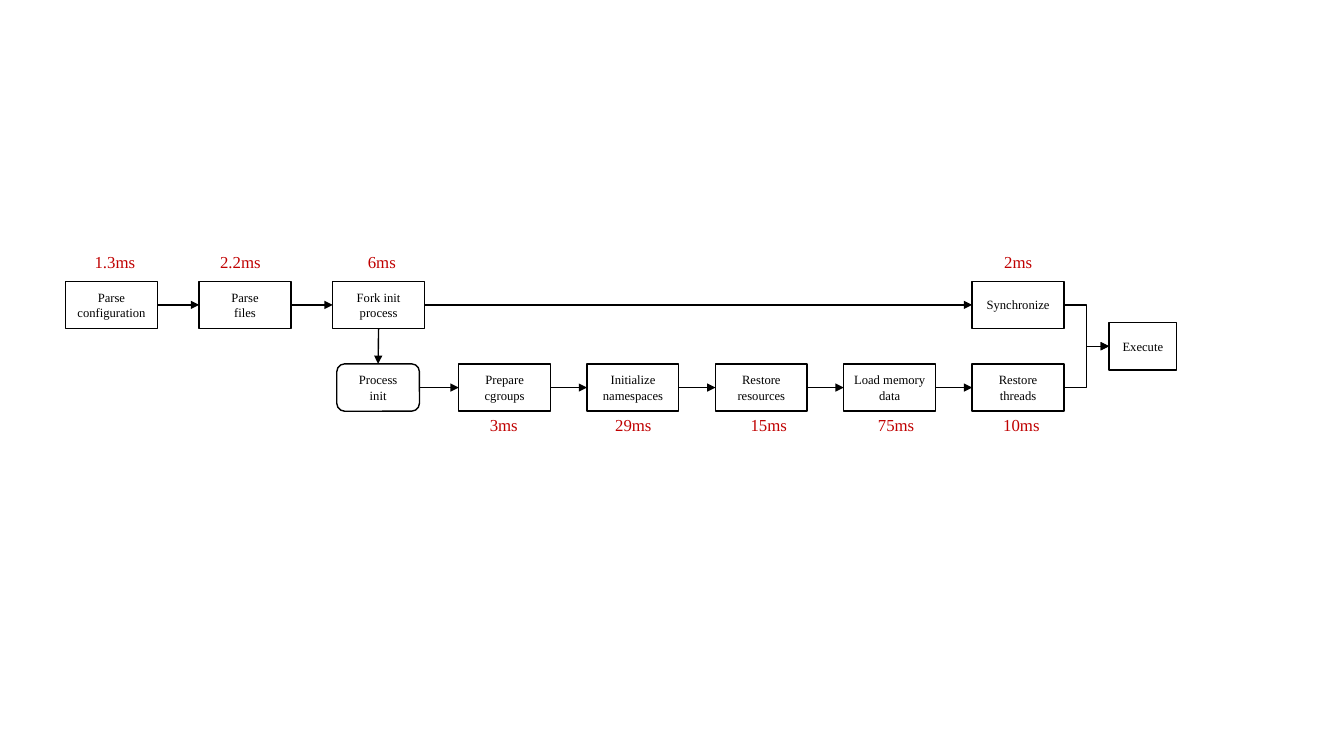
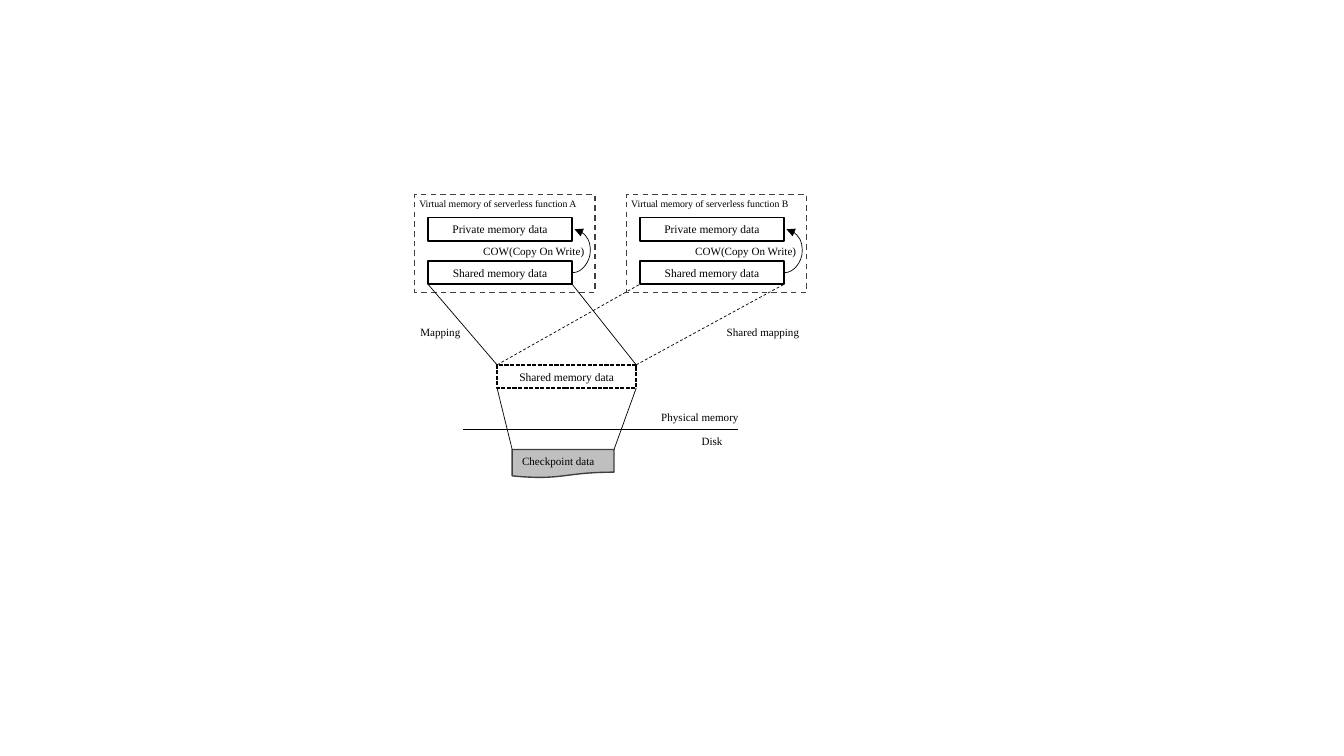
from dataclasses import dataclass
from typing import NamedTuple, Optional

from lxml.etree import SubElement
from pptx import Presentation
from pptx.dml.color import RGBColor
from pptx.enum.dml import MSO_LINE as Dash
from pptx.enum.shapes import MSO_CONNECTOR as Route
from pptx.enum.shapes import MSO_SHAPE as Preset
from pptx.enum.text import MSO_ANCHOR as Anchor
from pptx.enum.text import PP_ALIGN as Align
from pptx.oxml.ns import qn
from pptx.shapes.autoshape import Shape
from pptx.shapes.connector import Connector
from pptx.slide import Slide
from pptx.text.text import TextFrame
from pptx.util import Inches, Length, Pt


@dataclass(frozen=True)
class Theme:
    font: str = "Times New Roman"
    ink: RGBColor = RGBColor(0x00, 0x00, 0x00)
    paper: RGBColor = RGBColor(0xFF, 0xFF, 0xFF)
    timing: RGBColor = RGBColor(0xC0, 0x00, 0x00)
    frame: RGBColor = RGBColor(0x40, 0x40, 0x40)
    disk: RGBColor = RGBColor(0xBF, 0xBF, 0xBF)
    timing_size: float = 12
    step_size: float = 9
    memory_size: float = 8.2
    label_size: float = 7.9
    caption_size: float = 7
    thick: float = 1
    thin: float = 0.5


class Point(NamedTuple):
    column: float
    row: float


class Area(NamedTuple):
    column: float
    row: float
    columns: float
    rows: float

    @property
    def right(self) -> float:
        return self.column + self.columns

    @property
    def bottom(self) -> float:
        return self.row + self.rows


@dataclass(frozen=True)
class BoxStyle:
    size: float
    line: RGBColor
    fill: Optional[RGBColor] = None
    dash: Optional[Dash] = None


@dataclass(frozen=True)
class Timing:
    text: str
    offset: float
    columns: float


@dataclass(frozen=True)
class Step:
    text: str
    timing: Timing


@dataclass(frozen=True)
class Label:
    text: str
    area: Area


THEME = Theme()
CELL = Inches(0.1)
TOP, LEFT, BOTTOM, RIGHT = range(4)

STEP_STYLE = BoxStyle(THEME.step_size, THEME.ink)
MEMORY_STYLE = BoxStyle(THEME.memory_size, THEME.ink, THEME.paper)
PHYSICAL_STYLE = BoxStyle(THEME.memory_size, THEME.ink, THEME.paper, Dash.SQUARE_DOT)
PANEL_STYLE = BoxStyle(THEME.memory_size, THEME.frame, THEME.paper, Dash.DASH)
DISK_STYLE = BoxStyle(THEME.label_size, THEME.frame, THEME.disk)

STEP_COLUMNS, STEP_ROWS = 9.1, 4.7
MAIN_ROW, INIT_ROW, EXECUTE_ROW = 27.9, 36.1, 32
MAIN_LEFT, MAIN_PITCH = 6.5, 13.25
INIT_LEFT, INIT_PITCH = 45.5, 12.73
MAIN_TIMING_ROW, INIT_TIMING_ROW = 24.5, 40.7
MAIN_STEPS = (
    Step("Parse\nconfiguration", Timing("1.3ms", 1.9, 6.7)),
    Step("Parse\nfiles", Timing("2.2ms", 1.1, 6.7)),
    Step("Fork init\nprocess", Timing("6ms", 2.5, 5.5)),
)
INIT_STEPS = (
    Step("Prepare\ncgroups", Timing("3ms", 2.1, 5.5)),
    Step("Initialize\nnamespaces", Timing("29ms", 1.8, 6.4)),
    Step("Restore\nresources", Timing("15ms", 2.5, 6.4)),
    Step("Load memory\ndata", Timing("75ms", 2.4, 6.4)),
    Step("Restore\nthreads", Timing("10ms", 2.1, 6.4)),
)
SYNCHRONIZE = Step("Synchronize", Timing("2ms", 2.2, 6.4))

PANEL_LEFT, PANEL_PITCH, PANEL_ROW = 41.1, 21.02, 19.3
MEMORY_ROWS = 2.3
PHYSICAL = Area(49.3, 36.2, 13.8, MEMORY_ROWS)
CHECKPOINT = Area(50.8, 44.6, 10.1, 2.8)
MEMORY_LABELS = (
    Label("Checkpoint data", Area(50.8, 44.6, 13.4, 2.3)),
    Label("Mapping", Area(40.7, 31.8, 6.5, 2.3)),
    Label("Shared mapping", Area(71.1, 31.8, 10.7, 2.3)),
    Label("Physical memory", Area(64.6, 40.2, 11.2, 2.3)),
    Label("Disk", Area(68.6, 42.6, 4.8, 2.3)),
)


def cells(count: float) -> Length:
    return Length(round(count * CELL))


def style_text(text_frame: TextFrame, size: float, color: RGBColor, align: Align) -> None:
    for paragraph in text_frame.paragraphs:
        paragraph.alignment = align
        for run in paragraph.runs:
            run.font.name = THEME.font
            run.font.size = Pt(size)
            run.font.color.rgb = color


def draw_box(slide: Slide, area: Area, style: BoxStyle, text: str = "",
             preset: Preset = Preset.RECTANGLE) -> Shape:
    shape = slide.shapes.add_shape(preset, *map(cells, area))
    shape.shadow.inherit = False
    if style.fill is None:
        shape.fill.background()
    else:
        shape.fill.solid()
        shape.fill.fore_color.rgb = style.fill
    shape.line.color.rgb = style.line
    shape.line.width = Pt(THEME.thick)
    if style.dash is not None:
        shape.line.dash_style = style.dash
    if text:
        text_frame = shape.text_frame
        text_frame.margin_left = text_frame.margin_right = 0
        text_frame.margin_top = text_frame.margin_bottom = 0
        text_frame.vertical_anchor = Anchor.MIDDLE
        text_frame.text = text
        style_text(text_frame, style.size, THEME.ink, Align.CENTER)
    return shape


def draw_label(slide: Slide, label: Label, size: float = THEME.label_size,
               color: RGBColor = THEME.ink) -> None:
    text_frame = slide.shapes.add_textbox(*map(cells, label.area)).text_frame
    text_frame.word_wrap = True
    text_frame.text = label.text
    style_text(text_frame, size, color, Align.LEFT)


def draw_line(slide: Slide, start: Point, end: Point, width: float = THEME.thin,
              route: Route = Route.STRAIGHT, arrow: bool = False,
              dash: Optional[Dash] = None) -> Connector:
    connector = slide.shapes.add_connector(route, *map(cells, (*start, *end)))
    connector.line.color.rgb = THEME.ink
    connector.line.width = Pt(width)
    if dash is not None:
        connector.line.dash_style = dash
    if arrow:
        SubElement(connector.get_or_add_ln(), qn("a:tailEnd"), type="triangle")
    SubElement(connector._element.spPr, qn("a:effectLst"))
    return connector


def link(slide: Slide, source: Shape, target: Shape, source_side: int = RIGHT,
         target_side: int = LEFT, route: Route = Route.STRAIGHT) -> None:
    connector = draw_line(slide, Point(0, 0), Point(1, 1), THEME.thick, route, arrow=True)
    connector.begin_connect(source, source_side)
    connector.end_connect(target, target_side)


def draw_step(slide: Slide, step: Step, column: float, row: float,
              timing_row: float) -> Shape:
    timing = step.timing
    area = Area(column + timing.offset, timing_row, timing.columns, 3)
    draw_label(slide, Label(timing.text, area), THEME.timing_size, THEME.timing)
    return draw_box(slide, Area(column, row, STEP_COLUMNS, STEP_ROWS), STEP_STYLE, step.text)


def build_startup(slide: Slide) -> None:
    main = [draw_step(slide, step, MAIN_LEFT + index * MAIN_PITCH, MAIN_ROW, MAIN_TIMING_ROW)
            for index, step in enumerate(MAIN_STEPS)]
    last_column = INIT_LEFT + (len(INIT_STEPS) - 1) * INIT_PITCH
    main.append(draw_step(slide, SYNCHRONIZE, last_column, MAIN_ROW, MAIN_TIMING_ROW))
    init = [draw_box(slide, Area(33.4, INIT_ROW, 8.2, STEP_ROWS), STEP_STYLE,
                     "Process\ninit", Preset.ROUNDED_RECTANGLE)]
    init += [draw_step(slide, step, INIT_LEFT + index * INIT_PITCH, INIT_ROW, INIT_TIMING_ROW)
             for index, step in enumerate(INIT_STEPS)]
    execute = draw_box(slide, Area(110, EXECUTE_ROW, 6.7, STEP_ROWS), STEP_STYLE, "Execute")
    for chain in (main, init):
        for source, target in zip(chain, chain[1:]):
            link(slide, source, target)
        link(slide, chain[-1], execute, route=Route.ELBOW)
    fork = main[len(MAIN_STEPS) - 1]
    link(slide, fork, init[0], BOTTOM, TOP)


def draw_copy_arrow(slide: Slide, shared: Area, private: Area) -> None:
    start = Point(shared.right + 0.1, shared.row + shared.rows / 2)
    end = Point(start.column + 0.14, private.row + private.rows / 2)
    connector = draw_line(slide, start, end, route=Route.CURVE, arrow=True)
    adjustments = connector._element.spPr.find(qn("a:prstGeom")).get_or_add_avLst()
    SubElement(adjustments, qn("a:gd"), name="adj1", fmla="val 1200000")


def draw_function(slide: Slide, name: str, column: float) -> Area:
    draw_box(slide, Area(column, PANEL_ROW, 17.9, 9.7), PANEL_STYLE)
    private = Area(column + 1.35, PANEL_ROW + 2.3, 14.3, MEMORY_ROWS)
    shared = private._replace(row=PANEL_ROW + 6.6)
    draw_box(slide, private, MEMORY_STYLE, "Private memory data")
    draw_box(slide, shared, MEMORY_STYLE, "Shared memory data")
    draw_copy_arrow(slide, shared, private)
    draw_label(slide, Label("COW(Copy On Write)",
                            Area(column + 5.85, PANEL_ROW + 4.5, 14.3, 2.3)))
    draw_label(slide, Label(f"Virtual memory of serverless function {name}",
                            Area(column - 0.5, PANEL_ROW - 0.2, 17.9, 2.2)),
               THEME.caption_size)
    return shared


def draw_mapping(slide: Slide, lower: Area, upper: Area, dash: Optional[Dash] = None) -> None:
    draw_line(slide, Point(lower.column, lower.row),
              Point(upper.column, upper.bottom), dash=dash)
    draw_line(slide, Point(lower.right, lower.row),
              Point(upper.right, upper.bottom), dash=dash)


def build_memory(slide: Slide) -> None:
    draw_box(slide, CHECKPOINT, DISK_STYLE, preset=Preset.FLOWCHART_DOCUMENT)
    draw_line(slide, Point(45.9, 42.6), Point(73.2, 42.6))
    draw_box(slide, PHYSICAL, PHYSICAL_STYLE, "Shared memory data")
    draw_mapping(slide, CHECKPOINT, PHYSICAL)
    for index, (name, dash) in enumerate((("A", None), ("B", Dash.DASH))):
        shared = draw_function(slide, name, PANEL_LEFT + index * PANEL_PITCH)
        draw_mapping(slide, PHYSICAL, shared, dash)
    for label in MEMORY_LABELS:
        draw_label(slide, label)


def main() -> None:
    presentation = Presentation()
    presentation.slide_width = Inches(13.33)
    presentation.slide_height = Inches(7.5)
    blank = presentation.slide_layouts.get_by_name("Blank")
    for build in (build_startup, build_memory):
        build(presentation.slides.add_slide(blank))
    presentation.save("out.pptx")


main()
